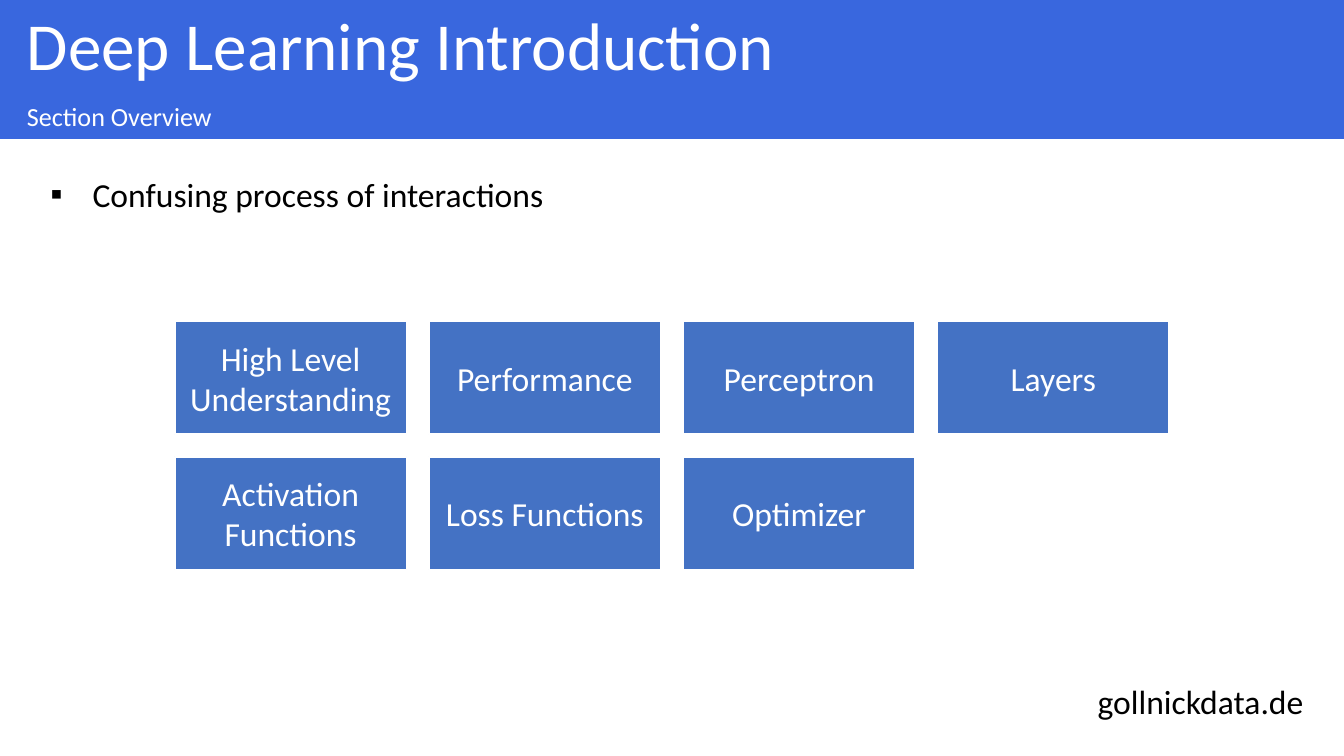
from lxml.etree import SubElement
from pptx import Presentation
from pptx.dml.color import RGBColor
from pptx.enum.shapes import MSO_SHAPE
from pptx.enum.text import MSO_ANCHOR, PP_ALIGN
from pptx.oxml.ns import qn
from pptx.util import Pt

FONT = "Calibri"
TOPICS = ["High Level Understanding", "Performance", "Perceptron", "Layers",
          "Activation Functions", "Loss Functions", "Optimizer"]


def color(value):
    """Return the colour for a hex string."""
    return RGBColor.from_string(value)


def style(p, size, hex_color):
    """Set font, size and colour on the runs of a paragraph."""
    for r in p.runs:
        r.font.name = FONT
        r.font.size = Pt(size)
        r.font.color.rgb = color(hex_color)


def add_box(s, x, y, w, h, fill, text, size):
    """Add a filled rectangle with white, vertically centred text."""
    sp = s.shapes.add_shape(MSO_SHAPE.RECTANGLE, Pt(x), Pt(y), Pt(w), Pt(h))
    sp.shadow.inherit = False
    sp.fill.solid()
    sp.fill.fore_color.rgb = color(fill)
    sp.line.fill.background()
    tf = sp.text_frame
    tf.word_wrap = True
    tf.vertical_anchor = MSO_ANCHOR.MIDDLE
    tf.text = text
    style(tf.paragraphs[0], size, "FFFFFF")
    return sp


def add_text(s, x, y, w, h, text):
    """Add a wrapping black text box and return its paragraph."""
    tf = s.shapes.add_textbox(Pt(x), Pt(y), Pt(w), Pt(h)).text_frame
    tf.word_wrap = True
    p = tf.paragraphs[0]
    p.text = text
    style(p, 18, "000000")
    return p


def add_header(s, x, y, w, h, title, subtitle):
    """Add the title band with the subtitle band below it."""
    title_h = h * 0.7
    bands = [(y, title_h, title, 36), (y + title_h, h - title_h, subtitle, 14)]
    for top, height, text, size in bands:
        tf = add_box(s, x, top, w, height, "3967DE", text, size).text_frame
        tf.margin_left = Pt(14.4)
        p = tf.paragraphs[0]
        p.alignment = PP_ALIGN.LEFT
        p.line_spacing = 0.9


def add_bullet(s, x, y, w, h, text):
    """Add a text box with one square-bulleted paragraph."""
    p = add_text(s, x, y, w, h, text)
    pPr = p._p.get_or_add_pPr()
    pPr.set("marL", str(Pt(22.5)))
    pPr.set("indent", str(-Pt(22.5)))
    SubElement(pPr, qn("a:buFont"), typeface="Wingdings")
    SubElement(pPr, qn("a:buChar"), char="▪")
    pPr.find(qn("a:buFont")).set("typeface", FONT)


def add_topics(s, x, y, w, h, topics, cols=4, gap=12):
    """Lay the topics out row by row in a grid of tiles."""
    rows = -(-len(topics) // cols)
    tile_w = (w - gap * (cols - 1)) / cols
    tile_h = (h - gap * (rows - 1)) / rows
    for i, topic in enumerate(topics):
        row, col = divmod(i, cols)
        sp = add_box(s, x + col * (tile_w + gap), y + row * (tile_h + gap),
                     tile_w, tile_h, "4472C4", topic, 18)
        sp.line.color.rgb = color("FFFFFF")
        sp.line.width = Pt(1)
        sp.text_frame.paragraphs[0].alignment = PP_ALIGN.CENTER


def main():
    """Build the section overview slide."""
    prs = Presentation()
    prs.slide_width, prs.slide_height = Pt(720), Pt(405)
    s = prs.slides.add_slide(prs.slide_layouts[6])
    add_header(s, 0, 0, 720, 74.4, "Deep Learning Introduction", "Section Overview")
    add_bullet(s, 20, 89.5, 641, 73, "Confusing process of interactions")
    add_topics(s, 93.6, 172.2, 532.8, 133, TOPICS)
    add_text(s, 581, 361.5, 136, 29, "gollnickdata.de")
    prs.save("out.pptx")


if __name__ == "__main__":
    main()
